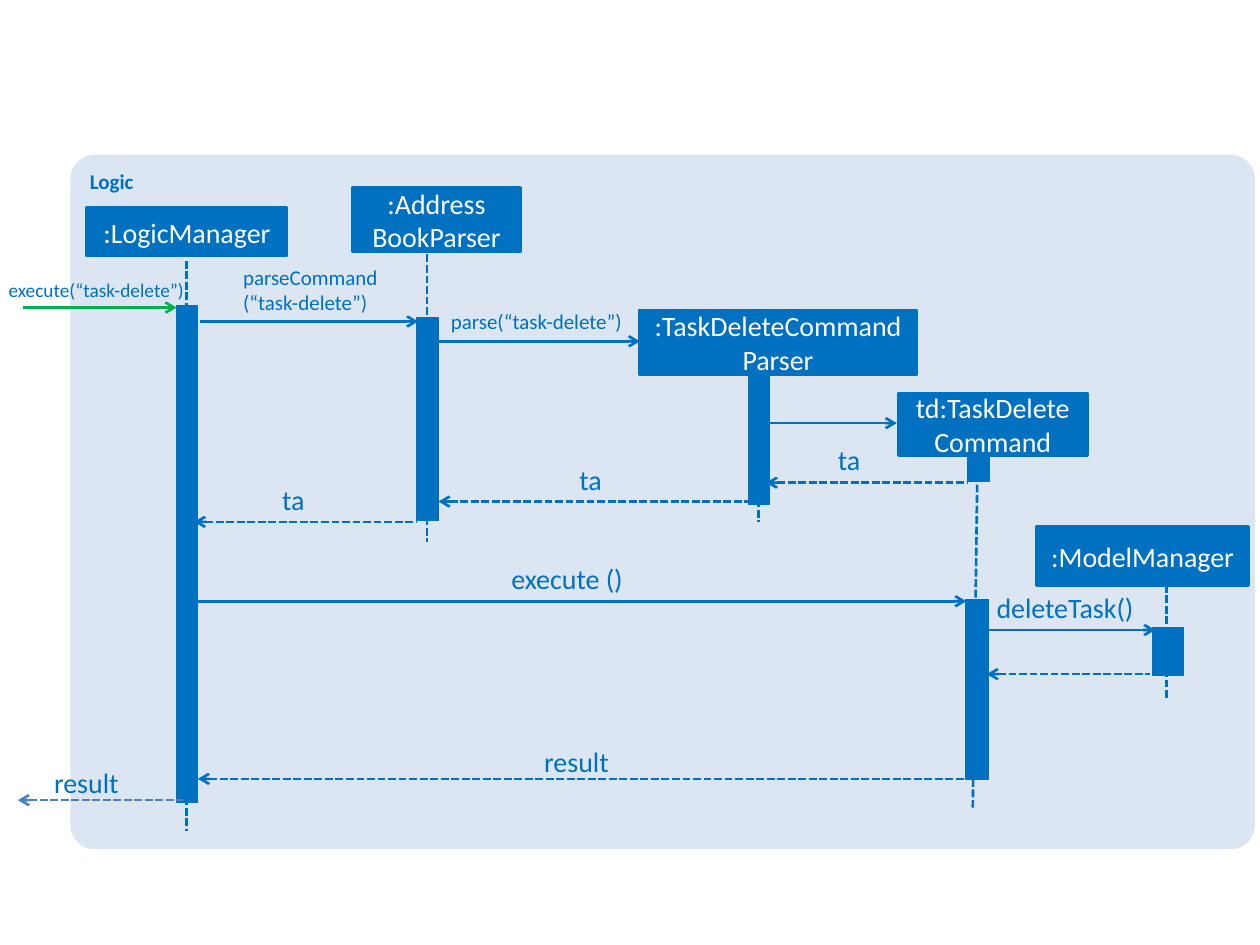
from dataclasses import dataclass
from typing import Any

from lxml.etree import SubElement
from pptx import Presentation
from pptx.dml.color import RGBColor
from pptx.enum.dml import MSO_LINE_DASH_STYLE as Dash
from pptx.enum.shapes import MSO_AUTO_SHAPE_TYPE as Preset, MSO_CONNECTOR_TYPE as Link
from pptx.enum.text import MSO_ANCHOR as Anchor, MSO_AUTO_SIZE as Fit, PP_ALIGN as Align
from pptx.oxml.ns import qn
from pptx.util import Cm, Pt


@dataclass(frozen=True)
class Theme:
    font: str = "Calibri"
    blue: str = "0070C0"
    green: str = "00B050"
    steel: str = "4F81BD"
    pale: str = "DCE6F2"
    white: str = "FFFFFF"
    tiny: int = 11
    small: int = 12
    normal: int = 16
    line: float = 1.5
    thin: float = 0.75


THEME = Theme()


# Every length below is in centimetres
@dataclass(frozen=True)
class Block:
    left: float
    top: float
    width: float
    height: float
    text: str = ""


@dataclass(frozen=True)
class Lifeline:
    x: float
    top: float
    bottom: float
    drift: float = 0


@dataclass(frozen=True)
class Message:
    left: float
    right: float
    y: float
    reply: bool = False
    color: str = THEME.blue


@dataclass(frozen=True)
class Label:
    text: str
    left: float
    top: float
    width: float
    height: float = 0.69
    size: int = THEME.normal
    align: Align = Align.LEFT


PANEL = Block(1.42, 3.12, 23.88, 14, "Logic")

PARTICIPANTS = [
    Block(1.75, 4.19, 4.04, 0.97, ":LogicManager"),
    Block(7.11, 3.78, 3.38, 1.3, ":Address\nBookParser"),
    Block(12.88, 6.25, 5.61, 1.3, ":TaskDeleteCommandParser"),
    Block(18.11, 7.92, 3.81, 1.27, "td:TaskDeleteCommand"),
    Block(20.9, 10.62, 4.27, 1.19, ":ModelManager"),
]

LIFELINES = [
    Lifeline(3.76, 5.26, 16.76),
    Lifeline(8.61, 5.13, 10.92),
    Lifeline(15.29, 7.52, 10.52),
    Lifeline(19.71, 8.92, 16.28, -0.1),
    Lifeline(23.52, 11.79, 14.12),
]

ACTIVATIONS = [
    Block(3.56, 6.17, 0.43, 10.01),
    Block(8.41, 6.4, 0.43, 4.09),
    Block(15.09, 7.57, 0.43, 2.59),
    Block(19.51, 8.92, 0.43, 0.79),
    Block(19.46, 12.09, 0.46, 3.63),
    Block(23.24, 12.65, 0.61, 0.97),
]

MESSAGES = [
    Message(0.46, 3.56, 6.2, color=THEME.green),
    Message(4.04, 8.43, 6.48),
    Message(8.76, 12.9, 6.88),
    Message(15.49, 18.08, 8.53),
    Message(15.44, 19.51, 9.73, reply=True),
    Message(8.84, 15.09, 10.11, reply=True),
    Message(3.91, 8.41, 10.52, reply=True),
    Message(3.99, 19.48, 12.12),
    Message(19.94, 23.29, 12.7),
    Message(19.89, 23.19, 13.59, reply=True),
    Message(3.99, 19.48, 15.7, reply=True),
    Message(0.36, 3.68, 16.13, reply=True, color=THEME.steel),
]

LABELS = [
    Label("execute(“task-delete”)", -0.2, 5.61, 3.91, 0.48, THEME.tiny, Align.RIGHT),
    Label("parseCommand(“task-delete”)", 4.9, 5.33, 2.79, 1.02, THEME.small),
    Label("parse(“task-delete”)", 9.09, 6.22, 3.78, 0.51, THEME.small),
    Label("ta", 16.89, 8.92, 0.61),
    Label("ta", 11.68, 9.32, 0.61),
    Label("ta", 5.69, 9.73, 0.61),
    Label("execute ()", 10.31, 11.33, 2.59),
    Label("deleteTask()", 20.09, 11.91, 3.12),
    Label("result", 10.97, 15.01, 1.73),
    Label("result", 1.09, 15.44, 1.63),
]


def apply(target: Any, values: dict[str, Any]) -> None:
    for name, value in values.items():
        setattr(target, name, value)


def write(frame: Any, text: str, size: int, color: str, align: Align, bold: bool = False) -> None:
    frame.word_wrap = True
    for index, words in enumerate(text.split("\n")):
        para = frame.add_paragraph() if index else frame.paragraphs[0]
        para.alignment = align
        span = para.add_run()
        span.text = words
        apply(span.font, {"name": THEME.font, "size": Pt(size), "bold": bold})
        span.font.color.rgb = RGBColor.from_string(color)


def draw_block(page: Any, block: Block, fill: str, border: float = 0,
               preset: Preset = Preset.RECTANGLE) -> Any:
    shape = page.shapes.add_shape(
        preset, Cm(block.left), Cm(block.top), Cm(block.width), Cm(block.height))
    shape.shadow.inherit = False
    shape.fill.solid()
    shape.fill.fore_color.rgb = RGBColor.from_string(fill)
    if border:
        shape.line.color.rgb = RGBColor.from_string(fill)
        shape.line.width = Pt(border)
    else:
        shape.line.fill.background()
    return shape


def draw_line(page: Any, x1: float, y1: float, x2: float, y2: float,
              color: str, dashed: bool, arrow: str = "") -> None:
    link = page.shapes.add_connector(Link.STRAIGHT, Cm(x1), Cm(y1), Cm(x2), Cm(y2))
    link.line.color.rgb = RGBColor.from_string(color)
    link.line.width = Pt(THEME.line)
    if dashed:
        link.line.dash_style = Dash.SQUARE_DOT
    if arrow:
        SubElement(link.line._get_or_add_ln(), qn(arrow), type="arrow")
    SubElement(link._element.spPr, qn("a:effectLst"))


def draw_label(page: Any, label: Label) -> None:
    box = page.shapes.add_textbox(
        Cm(label.left), Cm(label.top), Cm(label.width), Cm(label.height))
    apply(box.text_frame, {
        "margin_left": 0, "margin_top": 0, "margin_right": 0, "margin_bottom": 0,
        "auto_size": Fit.SHAPE_TO_FIT_TEXT,
    })
    write(box.text_frame, label.text, label.size, THEME.blue, label.align)


deck = Presentation()
apply(deck, {"slide_width": Cm(25.4), "slide_height": Cm(19.05)})
page = deck.slides.add_slide(deck.slide_layouts[6])

# Component panel
panel = draw_block(page, PANEL, THEME.pale, preset=Preset.ROUNDED_RECTANGLE)
panel.adjustments[0] = 0.035
panel.text_frame.vertical_anchor = Anchor.TOP
write(panel.text_frame, PANEL.text, THEME.small, THEME.blue, Align.LEFT, bold=True)

# Lifelines and activation bars
for life in LIFELINES:
    draw_line(page, life.x, life.top, life.x + life.drift, life.bottom, THEME.blue, True)
for bar in ACTIVATIONS:
    draw_block(page, bar, THEME.blue, THEME.thin)

# Participants
for participant in PARTICIPANTS:
    shape = draw_block(page, participant, THEME.blue, THEME.line)
    shape.text_frame.vertical_anchor = Anchor.MIDDLE
    write(shape.text_frame, participant.text, THEME.normal, THEME.white, Align.CENTER)

# Messages: calls point right, replies point left
for message in MESSAGES:
    draw_line(page, message.left, message.y, message.right, message.y, message.color,
              message.reply, "a:headEnd" if message.reply else "a:tailEnd")
for label in LABELS:
    draw_label(page, label)

deck.save("out.pptx")
